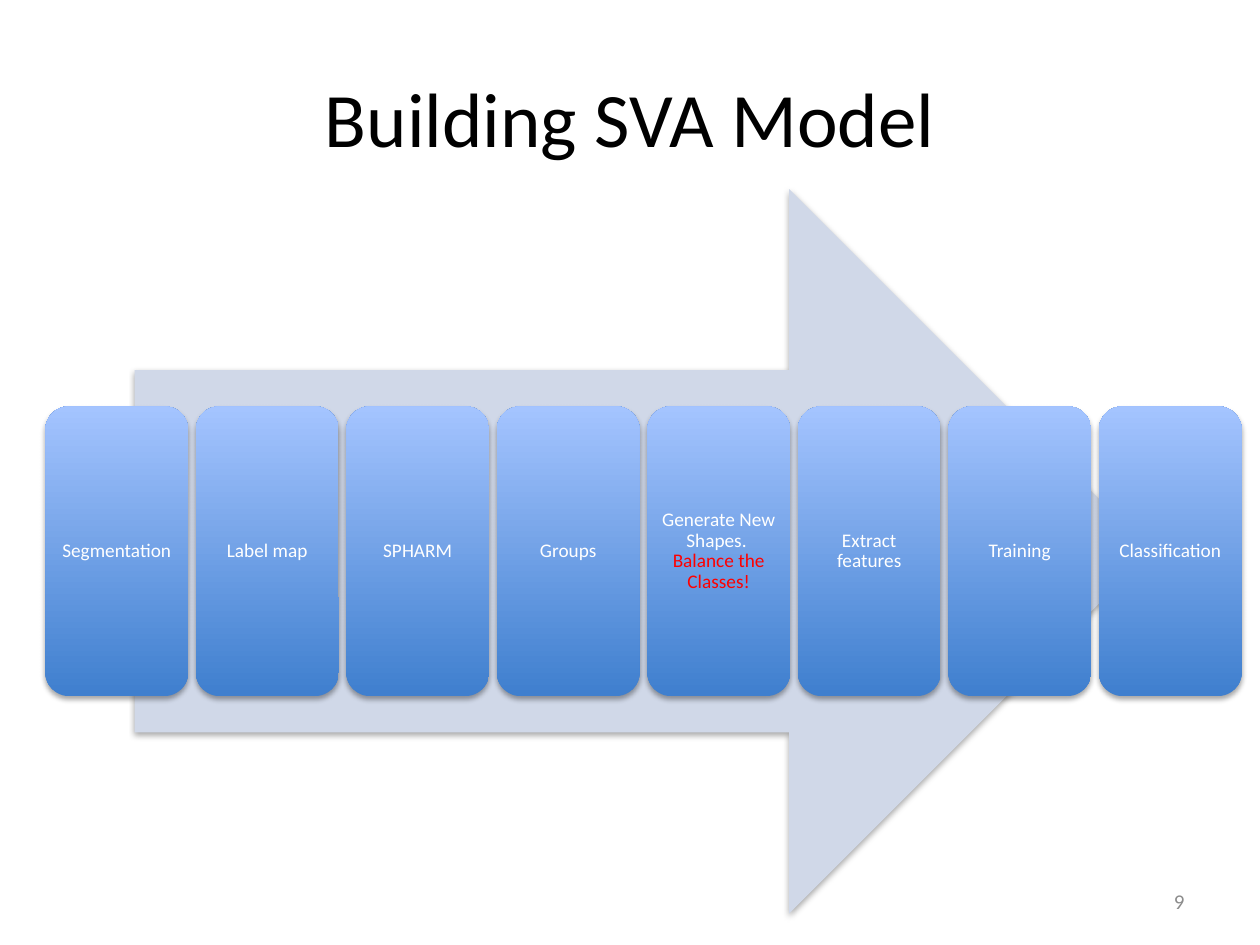
import pptx
import pptx.util
import pptx.dml.color
import pptx.enum.shapes
import pptx.enum.text
import pptx.oxml
import pptx.oxml.ns

Pt = pptx.util.Pt
RGBColor = pptx.dml.color.RGBColor
SHAPE = pptx.enum.shapes.MSO_SHAPE
ALIGN = pptx.enum.text.PP_ALIGN
MIDDLE = pptx.enum.text.MSO_ANCHOR.MIDDLE

BLACK = RGBColor(0x00, 0x00, 0x00)
WHITE = RGBColor(0xFF, 0xFF, 0xFF)
RED = RGBColor(0xFF, 0x00, 0x00)
GREY = RGBColor(0x8C, 0x8C, 0x8C)
PALE_BLUE = RGBColor(0xD0, 0xD8, 0xE8)
DEEP_BLUE = RGBColor(0x3F, 0x7F, 0xCE)
LIGHT_BLUE = RGBColor(0xA4, 0xC4, 0xFF)

SHADOW = (
    f'<a:effectLst {pptx.oxml.ns.nsdecls("a")}>'
    f'<a:outerShdw blurRad="{Pt(3.1)}" dist="{Pt(1.8)}" dir="5400000" rotWithShape="0">'
    '<a:srgbClr val="000000"><a:alpha val="35000"/></a:srgbClr>'
    '</a:outerShdw></a:effectLst>'
)


class ProcessSlide:
    font_name = "Calibri"

    def __init__(self, slide):
        self.slide = slide

    def style(self, paragraph, size, color, align):
        paragraph.alignment = align
        paragraph.font.name = self.font_name
        paragraph.font.size = Pt(size)
        if color is not None:
            paragraph.font.color.rgb = color

    def label(self, text, left, top, width, height, size, color, align):
        box = self.slide.shapes.add_textbox(Pt(left), Pt(top), Pt(width), Pt(height))
        frame = box.text_frame
        frame.word_wrap = True
        frame.vertical_anchor = MIDDLE
        frame.text = text
        self.style(frame.paragraphs[0], size, color, align)

    def shadowed(self, kind, left, top, width, height):
        shape = self.slide.shapes.add_shape(kind, Pt(left), Pt(top), Pt(width), Pt(height))
        shape.line.fill.background()
        properties = shape.fill._xPr
        properties.append(pptx.oxml.parse_xml(SHADOW))
        return shape

    def arrow(self, left, top, width, height):
        arrow = self.shadowed(SHAPE.RIGHT_ARROW, left, top, width, height)
        arrow.fill.solid()
        arrow.fill.fore_color.rgb = PALE_BLUE

    def step(self, lines, left, top, width, height):
        """Draw a gradient card; lines holds (text, colour) pairs."""
        card = self.shadowed(SHAPE.ROUNDED_RECTANGLE, left, top, width, height)
        card.fill.gradient()
        card.fill.gradient_angle = 90
        for stop, color in zip(card.fill.gradient_stops, (DEEP_BLUE, LIGHT_BLUE)):
            stop.color.rgb = color

        frame = card.text_frame
        frame.word_wrap = True
        frame.vertical_anchor = MIDDLE
        frame.margin_left = frame.margin_right = Pt(3.6)
        frame.margin_top = frame.margin_bottom = Pt(3.6)
        paragraph = frame.paragraphs[0]
        paragraph.line_spacing = 0.9
        self.style(paragraph, 11, None, ALIGN.CENTER)
        for number, (text, color) in enumerate(lines):
            if number:
                paragraph.add_line_break()
            run = paragraph.add_run()
            run.text = text
            run.font.color.rgb = color


STEPS = [
    [("Segmentation", WHITE)],
    [("Label map", WHITE)],
    [("SPHARM", WHITE)],
    [("Groups", WHITE)],
    [("Generate New Shapes. ", WHITE), ("Balance the Classes!", RED)],
    [("Extract features", WHITE)],
    [("Training", WHITE)],
    [("Classification", WHITE)],
]
FIRST_LEFT, STEP_PITCH = 25.9, 86


def main():
    deck = pptx.Presentation()
    deck.slide_width, deck.slide_height = Pt(720), Pt(540)
    page = ProcessSlide(deck.slides.add_slide(deck.slide_layouts[6]))

    # Title
    page.label("Building SVA Model", 36, 21.6, 648, 90, 44, BLACK, ALIGN.CENTER)

    # Process arrow with its steps
    page.arrow(77, 108, 581, 414)
    for index, lines in enumerate(STEPS):
        page.step(lines, FIRST_LEFT + index * STEP_PITCH, 232.2, 81.7, 165.6)

    # Slide number
    page.label("9", 516, 500.5, 168, 28.75, 12, GREY, ALIGN.RIGHT)

    deck.save("out.pptx")


if __name__ == "__main__":
    main()
